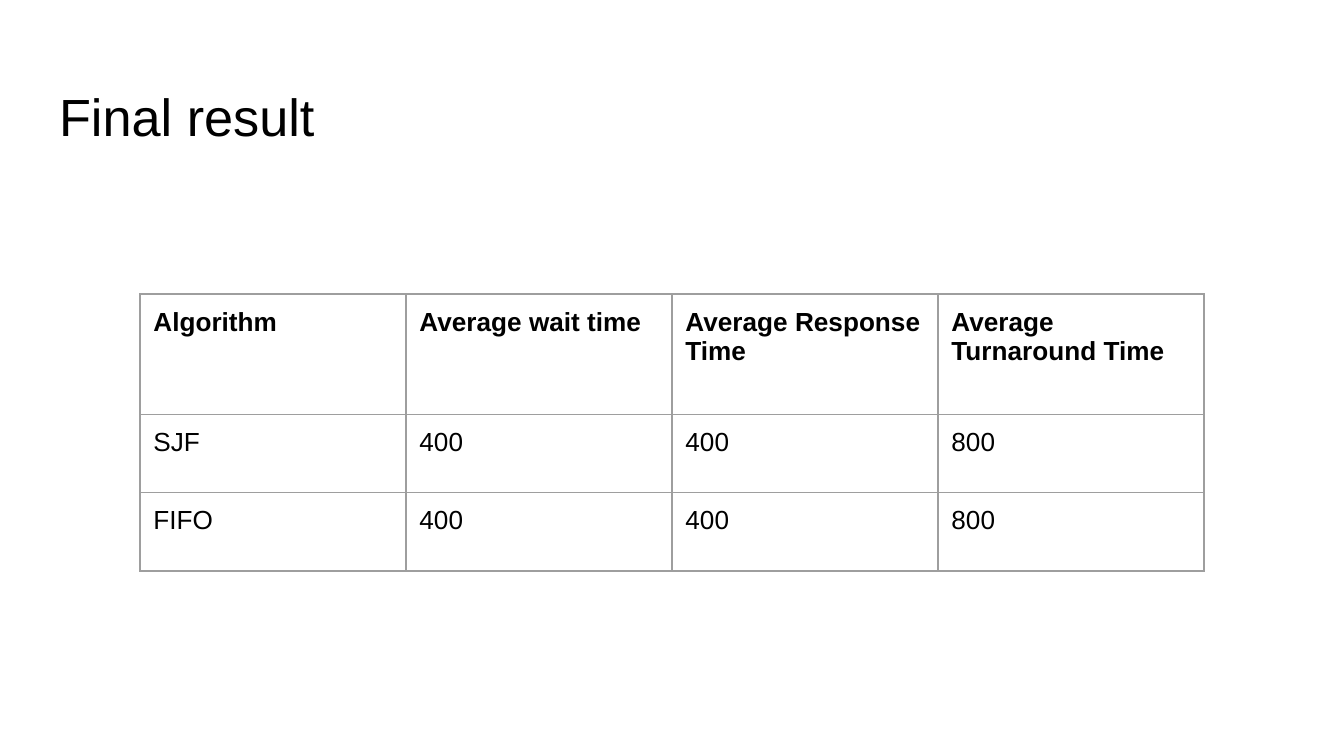
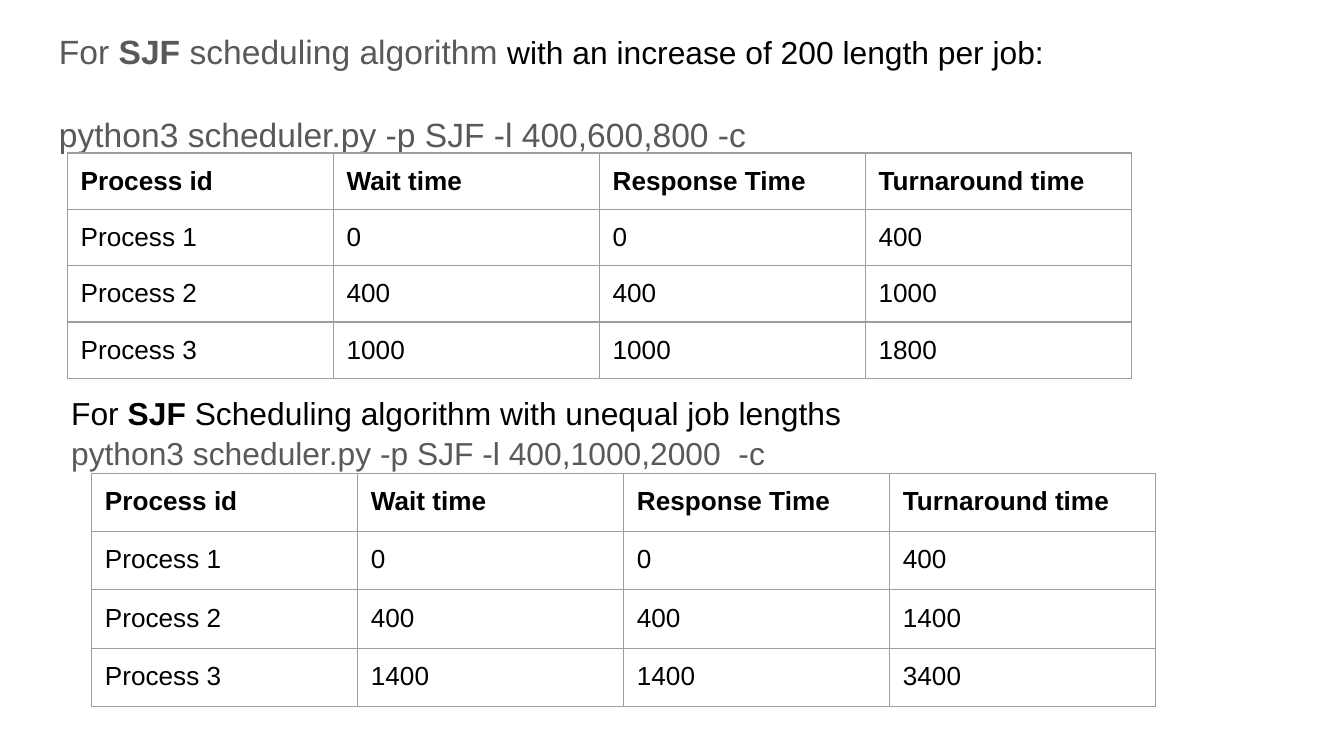
from lxml import etree
from pptx import Presentation
from pptx.dml.color import RGBColor
from pptx.enum import text
from pptx.oxml import ns
from pptx.util import Pt

HUES = {"ink": "000000", "soft": "595959", "rule": "9E9E9E"}
FACE = "Arial"
INSET = 7.2
COL = 142.5
LEFT, WIDE = 24.5, 671


def style(run, size, hue="ink", bold=False):
    look = {"name": FACE, "size": Pt(size), "bold": bold}
    for key, val in look.items():
        setattr(run.font, key, val)
    run.font.color.rgb = RGBColor.from_string(HUES[hue])


def pad(obj):
    for side in ("left", "top", "right", "bottom"):
        setattr(obj, "margin_" + side, Pt(INSET))


def place(shape, box):
    for key, val in zip(("left", "top", "width", "height"), box):
        setattr(shape, key, Pt(val))


def setup(frame, auto=text.MSO_AUTO_SIZE.NONE):
    look = {"word_wrap": True, "auto_size": auto,
            "vertical_anchor": text.MSO_ANCHOR.TOP}
    for key, val in look.items():
        setattr(frame, key, val)
    pad(frame)


def write(par, runs, space=1.05):
    """Fill a paragraph from (words, size, hue, bold) runs."""
    par.alignment = text.PP_ALIGN.LEFT
    par.line_spacing = space
    for words, *look in runs:
        run = par.add_run()
        run.text = words
        style(run, *look)


def border(cell):
    props = cell._tc.get_or_add_tcPr()
    for side in "LRTB":
        line = etree.SubElement(props, ns.qn("a:ln" + side), w=str(Pt(0.75)))
        fill = etree.SubElement(line, ns.qn("a:solidFill"))
        etree.SubElement(fill, ns.qn("a:srgbClr"), val=HUES["rule"])


def grid(slide, left, top, highs, rows):
    """Ruled table with a bold first row."""
    count = len(rows[0])
    frame = slide.shapes.add_table(len(rows), count, Pt(left), Pt(top),
                                   Pt(COL * count), Pt(sum(highs)))
    table = frame.table
    table.first_row = table.horz_banding = False
    for col in table.columns:
        col.width = Pt(COL)
    for i, (high, row) in enumerate(zip(highs, rows)):
        table.rows[i].height = Pt(high)
        for j, words in enumerate(row):
            cell = table.cell(i, j)
            pad(cell)
            border(cell)
            cell.fill.background()
            write(cell.text_frame.paragraphs[0],
                  [(words, 14, "ink", i == 0)], 1.0)


def note(slide, box, lines, gap=0, auto=text.MSO_AUTO_SIZE.NONE):
    """Heading line with a command line below it."""
    shape = slide.shapes.add_textbox(*map(Pt, box))
    frame = shape.text_frame
    setup(frame, auto)
    for i, runs in enumerate(lines):
        par = frame.add_paragraph() if i else frame.paragraphs[0]
        write(par, runs)
        if i and gap:
            par.space_before = Pt(gap)


def result(deck):
    slide = deck.slides.add_slide(deck.slide_layouts[5])
    title = slide.shapes.title
    place(title, (LEFT, 35, WIDE, 45))
    setup(title.text_frame)
    write(title.text_frame.paragraphs[0], [("Final result", 28)], 1.08)
    grid(slide, 75, 157.5, [64.5, 42, 42], [
        ("Algorithm", "Average wait time", "Average Response Time",
         "Average Turnaround Time"),
        ("SJF", "400", "400", "800"),
        ("FIFO", "400", "400", "800")])


def jobs(slide, left, top, high, times):
    """Table of wait and turnaround; response equals wait."""
    rows = [("Process id", "Wait time", "Response Time", "Turnaround time")]
    for i, (wait, turn) in enumerate(times, 1):
        rows.append((f"Process {i}", str(wait), str(wait), str(turn)))
    grid(slide, left, top, [high] * len(rows), rows)


def runs(deck):
    slide = deck.slides.add_slide(deck.slide_layouts[6])
    # Equal steps in job length
    note(slide, (LEFT, 8.5, WIDE, 186.5), [
        [("For", 18, "soft"), (" SJF", 18, "soft", True),
         (" scheduling algorithm ", 18, "soft"),
         ("with an increase of 200 length per job:", 17)],
        [("python3 scheduler.py -p SJF -l 400,600,800 -c", 18, "soft")],
    ], gap=21.7)
    jobs(slide, 36, 82, 30, [(0, 400), (400, 1000), (1000, 1800)])
    # Unequal job lengths
    note(slide, (31, 202.5, WIDE, 90), [
        [("For ", 17), ("SJF", 17, "ink", True),
         (" Scheduling algorithm with unequal job lengths", 17)],
        [("python3 scheduler.py -p SJF -l 400,1000,2000  -c", 17, "soft")],
    ], auto=text.MSO_AUTO_SIZE.SHAPE_TO_FIT_TEXT)
    jobs(slide, 49, 253.5, 31, [(0, 400), (400, 1400), (1400, 3400)])


def main():
    deck = Presentation()
    deck.slide_width, deck.slide_height = Pt(720), Pt(405)
    result(deck)
    runs(deck)
    deck.save("out.pptx")


if __name__ == "__main__":
    main()
